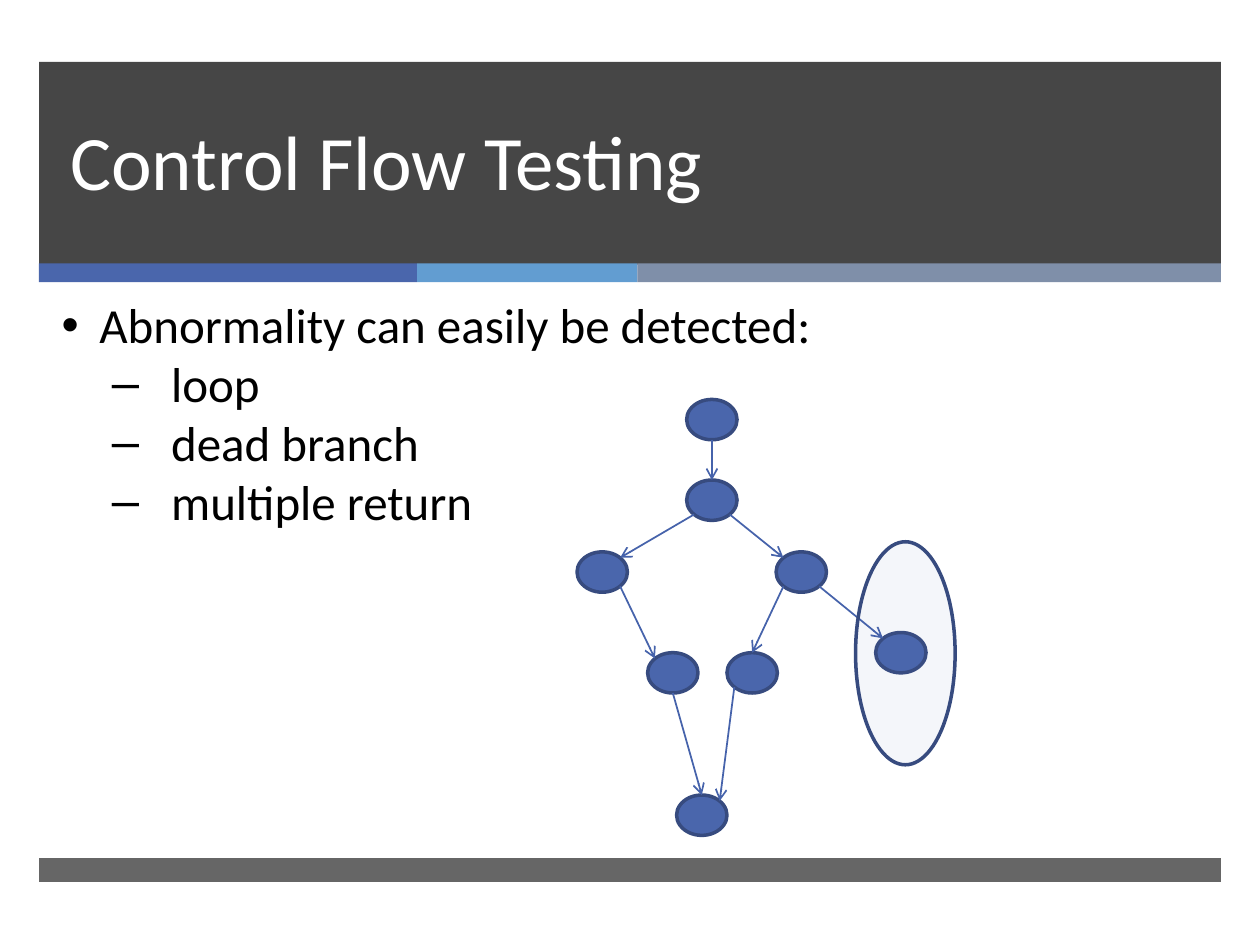
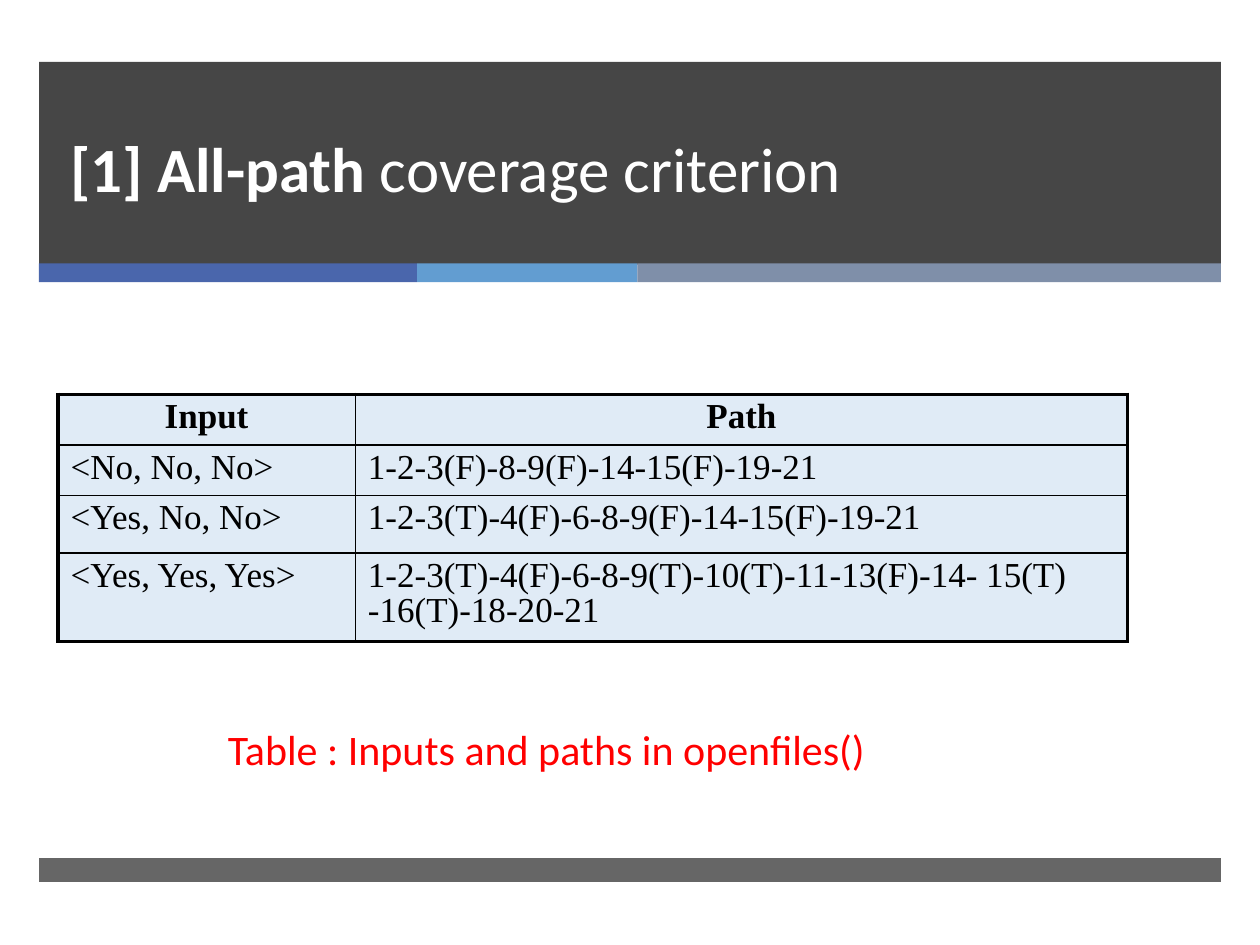
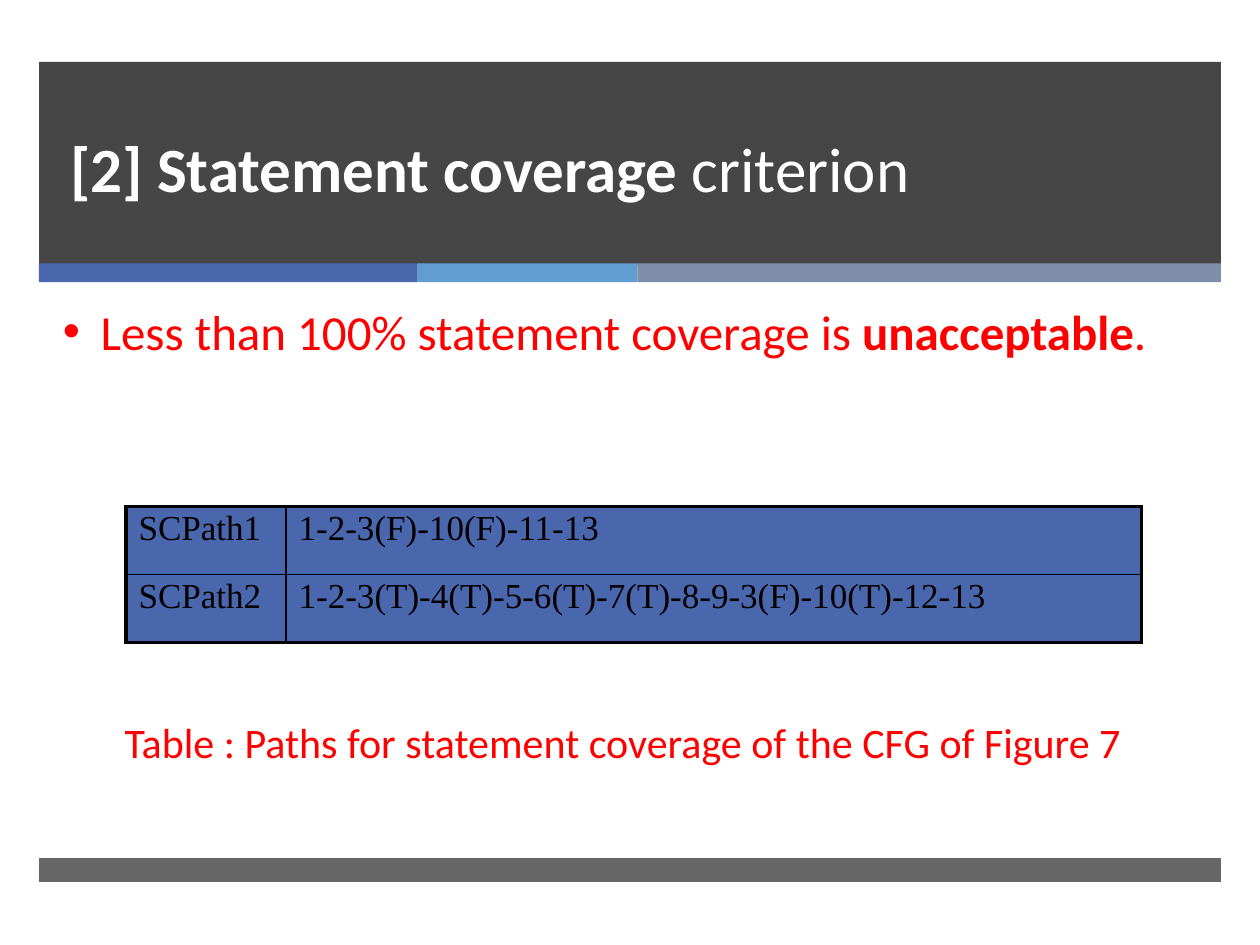
from pptx import Presentation
from pptx.dml.color import RGBColor
from pptx.enum.shapes import MSO_CONNECTOR as Connector, MSO_SHAPE as Preset
from pptx.enum.text import MSO_ANCHOR as Anchor, PP_ALIGN as Align
from pptx.oxml.ns import qn
from pptx.util import Inches, Pt
from lxml.etree import SubElement

COLORS = {
    "dark": "262626", "blue": "4A66AC", "sky": "629DD1", "slate": "7F8FA9",
    "outline": "374B7F", "arrow": "4663AB", "pale": "E0EBF6",
    "white": "FFFFFF", "black": "000000", "red": "FF0000",
}
BODY_FONT, TABLE_FONT = "Calibri", "Times New Roman"
BAND_LEFT, BAND_WIDTH = 0.31, 9.38
STRIPES = [("blue", 3), ("sky", 1.75), ("slate", 4.63)]

NODE_WIDTH, NODE_HEIGHT = 0.4, 0.32
NODES = {
    "start": (5.65, 3.33), "decision": (5.65, 3.97),
    "left": (4.78, 4.54), "right": (6.36, 4.54),
    "left end": (5.34, 5.34), "right end": (5.97, 5.34),
    "dead": (7.15, 5.18), "exit": (5.57, 6.47),
}
SITES = {
    "top": (0, -1), "bottom": (0, 1),
    "top left": (-0.71, -0.71), "top right": (0.71, -0.71),
    "bottom left": (-0.71, 0.71), "bottom right": (0.71, 0.71),
}
EDGES = [
    ("start", "bottom", "decision", "top"),
    ("decision", "bottom left", "left", "top right"),
    ("left", "bottom right", "left end", "top left"),
    ("decision", "bottom right", "right", "top left"),
    ("right", "bottom left", "right end", "top"),
    ("right", "bottom right", "dead", "top left"),
    ("right end", "bottom left", "exit", "top right"),
    ("left end", "bottom", "exit", "top"),
]
BULLETS = {
    "main": {"char": "•", "margin": 0.3, "indent": -0.3},
    "sub": {"char": "–", "margin": 0.87, "indent": -0.47},
}


def rgb(name):
    return RGBColor.from_string(COLORS[name])


def add_runs(paragraph, runs, color, **font_format):
    for text, bold in runs:
        run = paragraph.add_run()
        run.text = text
        for name, value in {**font_format, "bold": bold}.items():
            setattr(run.font, name, value)
        run.font.color.rgb = rgb(color)


def add_shape(slide, preset, box, fill, opacity=100, line=None):
    shape = slide.shapes.add_shape(preset, *map(Inches, box))
    shape.shadow.inherit = False
    shape.fill.solid()
    shape.fill.fore_color.rgb = rgb(fill)
    if opacity < 100:
        color = shape.fill._xPr.find(qn("a:solidFill"))[0]
        SubElement(color, qn("a:alpha"), val=str(opacity * 1000))
    if line:
        shape.line.color.rgb = rgb(line)
        shape.line.width = Pt(2)
    else:
        shape.line.fill.background()


def add_text_frame(slide, box, anchor=Anchor.TOP):
    frame = slide.shapes.add_textbox(*map(Inches, box)).text_frame
    frame.word_wrap = True
    frame.vertical_anchor = anchor
    return frame


def add_title(slide, runs, size):
    frame = add_text_frame(slide, (0.46, 0.49, 8.54, 1.19), Anchor.BOTTOM)
    paragraph = frame.paragraphs[0]
    paragraph.line_spacing = Pt(46)
    add_runs(paragraph, runs, "white", name=BODY_FONT, size=Pt(size))


def add_bullets(slide, box, items, color):
    frame = add_text_frame(slide, box)
    for index, (kind, runs) in enumerate(items):
        paragraph = frame.add_paragraph() if index else frame.paragraphs[0]
        bullet = BULLETS[kind]
        properties = paragraph._p.get_or_add_pPr()
        properties.set("marL", str(Inches(bullet["margin"])))
        properties.set("indent", str(Inches(bullet["indent"])))
        SubElement(properties, qn("a:buFont"), typeface="Arial")
        SubElement(properties, qn("a:buChar"), char=bullet["char"])
        add_runs(paragraph, runs, color, name=BODY_FONT, size=Pt(28))


def add_caption(slide, left, top, text):
    frame = add_text_frame(slide, (left, top, 8.4, 0.5))
    add_runs(frame.paragraphs[0], [(text, False)], "red", name=BODY_FONT, size=Pt(24))


def set_border(cell, side, width):
    line = SubElement(cell._tc.get_or_add_tcPr(), qn(f"a:ln{side}"), w=str(Pt(width)))
    fill = SubElement(line, qn("a:solidFill"))
    SubElement(fill, qn("a:srgbClr"), val=COLORS["black"])


def add_table(slide, left, top, widths, heights, rows, fill, header=False):
    box = (left, top, sum(widths), sum(heights))
    table = slide.shapes.add_table(len(rows), len(widths), *map(Inches, box)).table
    table.first_row = header
    table.horz_banding = False
    for column, width in zip(table.columns, widths):
        column.width = Inches(width)
    for row, height in zip(table.rows, heights):
        row.height = Inches(height)
    for row_index, texts in enumerate(rows):
        is_header = header and row_index == 0
        for column_index, text in enumerate(texts):
            cell = table.cell(row_index, column_index)
            outer = {
                "L": column_index == 0, "R": column_index == len(widths) - 1,
                "T": row_index == 0, "B": row_index == len(rows) - 1,
            }
            for side, is_outer in outer.items():
                set_border(cell, side, 2.25 if is_outer else 1)
            cell.fill.solid()
            cell.fill.fore_color.rgb = rgb(fill)
            paragraph = cell.text_frame.paragraphs[0]
            paragraph.line_spacing = 0.9
            paragraph.alignment = Align.CENTER if is_header else Align.LEFT
            add_runs(paragraph, [(text, is_header)], "black", name=TABLE_FONT, size=Pt(20))


def node_site(node, site):
    (x, y), (across, down) = NODES[node], SITES[site]
    return Inches(x + across * NODE_WIDTH / 2), Inches(y + down * NODE_HEIGHT / 2)


def add_arrow(slide, start, end):
    connector = slide.shapes.add_connector(Connector.STRAIGHT, *start, *end)
    connector.line.color.rgb = rgb("arrow")
    connector.line.width = Pt(1)
    SubElement(connector.line._get_or_add_ln(), qn("a:tailEnd"), type="arrow")
    SubElement(connector._element.spPr, qn("a:effectLst"))


def add_flow_graph(slide):
    for x, y in NODES.values():
        box = (x - NODE_WIDTH / 2, y - NODE_HEIGHT / 2, NODE_WIDTH, NODE_HEIGHT)
        add_shape(slide, Preset.OVAL, box, "blue", line="outline")
    for source, source_site, target, target_site in EDGES:
        add_arrow(slide, node_site(source, source_site), node_site(target, target_site))
    add_shape(slide, Preset.OVAL, (6.79, 4.3, 0.79, 1.77), "blue", 6, "outline")


def add_slide(presentation, title_runs, title_size=36):
    slide = presentation.slides.add_slide(presentation.slide_layouts[6])
    add_shape(slide, Preset.RECTANGLE, (BAND_LEFT, 0.49, BAND_WIDTH, 1.61), "dark", 85)
    left = BAND_LEFT
    for color, width in STRIPES:
        add_shape(slide, Preset.RECTANGLE, (left, 2.09, width, 0.15), color)
        left += width
    add_shape(slide, Preset.RECTANGLE, (BAND_LEFT, 6.81, BAND_WIDTH, 0.19), "dark", 70)
    add_title(slide, title_runs, title_size)
    return slide


def build_control_flow(presentation):
    slide = add_slide(presentation, [("Control Flow Testing", False)], 44)
    abnormalities = ["loop", "dead branch", "multiple return"]
    items = [("main", [("Abnormality can easily be detected:", False)])]
    items += [("sub", [(text, False)]) for text in abnormalities]
    add_bullets(slide, (0.39, 2.29, 9.28, 4.34), items, "black")
    add_flow_graph(slide)


def build_all_path(presentation):
    slide = add_slide(presentation, [("[1] All-path ", True), ("coverage criterion", False)])
    rows = [
        ("Input", "Path"),
        ("<No, No, No>", "1-2-3(F)-8-9(F)-14-15(F)-19-21"),
        ("<Yes, No, No>", "1-2-3(T)-4(F)-6-8-9(F)-14-15(F)-19-21"),
        ("<Yes, Yes, Yes>",
         "1-2-3(T)-4(F)-6-8-9(T)-10(T)-11-13(F)-14- 15(T) -16(T)-18-20-21"),
    ]
    add_table(slide, 0.46, 3.13, (2.36, 6.13), (0.4, 0.39, 0.46, 0.65), rows, "pale", True)
    add_caption(slide, 1.71, 5.69, "Table : Inputs and paths in openfiles()")


def build_statement(presentation):
    slide = add_slide(presentation, [("[2] Statement coverage ", True), ("criterion", False)])
    runs = [("Less than 100% statement coverage is ", False), ("unacceptable", True), (".", False)]
    add_bullets(slide, (0.4, 2.34, 9.22, 0.6), [("main", runs)], "red")
    rows = [
        ("SCPath1", "1-2-3(F)-10(F)-11-13"),
        ("SCPath2", "1-2-3(T)-4(T)-5-6(T)-7(T)-8-9-3(F)-10(T)-12-13"),
    ]
    add_table(slide, 1, 4.02, (1.27, 6.79), (0.54, 0.54), rows, "blue")
    add_caption(slide, 0.89, 5.64, "Table : Paths for statement coverage of the CFG of Figure 7")


def main():
    presentation = Presentation()
    presentation.slide_width = Inches(10)
    presentation.slide_height = Inches(7.5)
    build_control_flow(presentation)
    build_all_path(presentation)
    build_statement(presentation)
    presentation.save("out.pptx")


if __name__ == "__main__":
    main()
